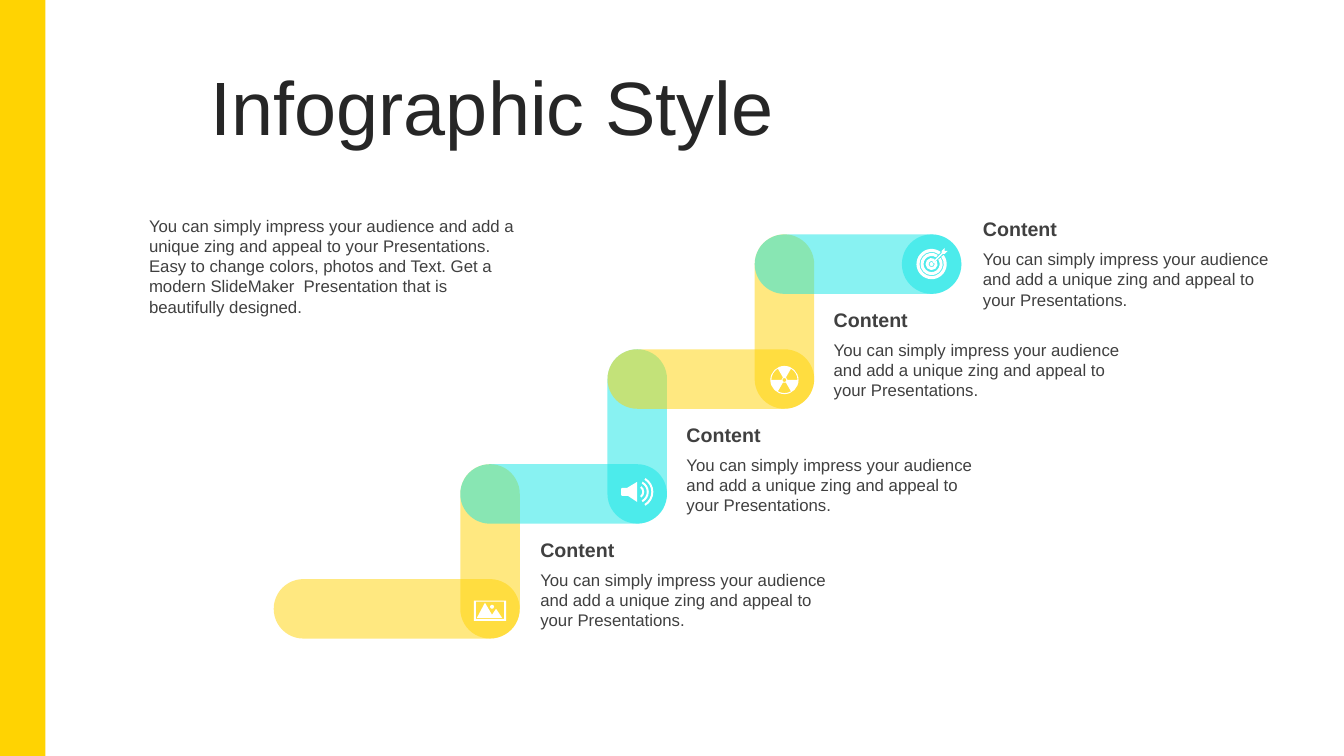
"""Builds the staircase infographic slide."""
from math import ceil, cos, radians, sin, tan

from lxml import etree
from pptx import Presentation
from pptx.dml.color import RGBColor
from pptx.enum.shapes import MSO_SHAPE
from pptx.enum.text import MSO_ANCHOR, MSO_AUTO_SIZE, PP_ALIGN
from pptx.oxml.ns import qn
from pptx.util import Inches, Pt

RECT, PILL, OVAL = MSO_SHAPE.RECTANGLE, MSO_SHAPE.ROUNDED_RECTANGLE, MSO_SHAPE.OVAL
TOP, MIDDLE = MSO_ANCHOR.TOP, MSO_ANCHOR.MIDDLE
FIT, FIXED = MSO_AUTO_SIZE.SHAPE_TO_FIT_TEXT, MSO_AUTO_SIZE.NONE
LEFT = PP_ALIGN.LEFT
COLORS = {"yellow": "FFD302", "cyan": "12E6E6", "white": "FFFFFF",
          "title": "262626", "text": "404040"}
FONT = "Arial"
THICK = 0.59
RUN, RISE = 1.46, 1.14
CONTENT = ("You can simply impress your audience and add a unique zing "
           "and appeal to your Presentations.")
INTRO = (CONTENT + " Easy to change colors, photos and Text. Get a modern "
         "SlideMaker  Presentation that is beautifully designed.")


def paint(sp, color, opacity=100):
    """Give a shape a plain fill without line or shadow."""
    sp.shadow.inherit = False
    sp.line.fill.background()
    sp.fill.solid()
    sp.fill.fore_color.rgb = RGBColor.from_string(COLORS[color])
    if opacity < 100:
        clr = sp._element.spPr.find(qn("a:solidFill"))[0]
        etree.SubElement(clr, qn("a:alpha")).set("val", str(opacity * 1000))


def add_block(slide, kind, box, color, opacity=100):
    """Add a filled preset shape; pills get fully round ends."""
    sp = slide.shapes.add_shape(kind, *map(Inches, box))
    if kind == PILL:
        sp.adjustments[0] = 0.5
    paint(sp, color, opacity)


def write(sp, text, size, color, anchor=TOP, bold=False, fit=FIT):
    """Set and format the single paragraph of a shape."""
    tf = sp.text_frame
    tf.text = text
    tf.word_wrap = True
    tf.auto_size = fit
    tf.vertical_anchor = anchor
    p = tf.paragraphs[0]
    p.alignment = LEFT
    font = p.runs[0].font
    font.name, font.size, font.bold = FONT, Pt(size), bold
    font.color.rgb = RGBColor.from_string(COLORS[color])


def add_text(slide, box, text, size, anchor=TOP, bold=False):
    """Add a wrapped text box."""
    sp = slide.shapes.add_textbox(*map(Inches, box))
    write(sp, text, size, "text", anchor, bold)


def arc(radius, start=0, end=360, x=0, y=0):
    """Return an arc as a first point and flagged Bézier triplets."""
    n = ceil(abs(end - start) / 90)
    step = radians(end - start) / n
    k = 4 / 3 * tan(step / 4)
    points = [(x + radius * cos(radians(start)), y + radius * sin(radians(start)))]
    for i in range(n):
        a = radians(start) + i * step
        b = a + step
        for px, py in ((cos(a) - k * sin(a), sin(a) + k * cos(a)),
                       (cos(b) + k * sin(b), sin(b) - k * cos(b)),
                       (cos(b), sin(b))):
            points.append((x + radius * px, y + radius * py, True))
    return points


def band(outer, inner, start, end):
    """Return the outline of a ring segment."""
    return arc(outer, start, end) + arc(inner, end, start)


def rect(left, top, right, bottom):
    """Return the corners of a rectangle."""
    return [(left, top), (right, top), (right, bottom), (left, bottom)]


def photo_icon():
    """Return the contours of a framed landscape."""
    hills = [(-0.05, -0.08), (0.02, 0.04), (0.06, -0.02), (0.12, 0.07), (-0.13, 0.07)]
    return [rect(-0.16, -0.1, 0.16, 0.1), rect(-0.14, -0.09, 0.14, 0.08),
            hills, arc(0.02, x=0.02, y=-0.04)]


def speaker_icon():
    """Return the contours of a speaker with three waves."""
    horn = [(0, -0.1), (0, 0.1), (-0.09, 0.04), (-0.15, 0.04),
            (-0.16, 0.03), (-0.16, -0.03), (-0.15, -0.04), (-0.1, -0.04)]
    waves = [(0.07, 0.05, 54), (0.115, 0.095, 62), (0.16, 0.14, 59)]
    return [horn] + [band(o, i, -a, a) for o, i, a in waves]


def trefoil_icon():
    """Return the contours of a disc with three cut-out sectors."""
    sectors = [band(0.13, 0.03, a, a + 60) for a in (60, 180, 300)]
    return [arc(0.14), arc(0.02)] + sectors


def target_icon():
    """Return the contours of a target hit by an arrow."""
    rings = [(0.15, 0.12, 8), (0.11, 0.08, 11), (0.06, 0.03, 14)]
    arrow = [(0.02, -0.01), (0.11, -0.1), (0.13, -0.1), (0.16, -0.13),
             (0.13, -0.13), (0.13, -0.16), (0.1, -0.13), (0.1, -0.11), (0.01, -0.02)]
    return [band(o, i, gap - 45, 315 - gap) for o, i, gap in rings] + [arc(0.02), arrow]


def bend(sp, flags):
    """Join flagged line points into cubic curves."""
    lines = list(sp._element.iter(qn("a:lnTo")))
    curve = None
    for line, curved in zip(lines, flags):
        if not curved:
            continue
        if curve is None or len(curve) == 3:
            curve = etree.Element(qn("a:cubicBezTo"))
            line.addprevious(curve)
        curve.append(line[0])
        line.getparent().remove(line)


def add_icon(slide, x, y, contours):
    """Draw contours around a centre as one white freeform."""
    outlines = [[(Inches(x + pt[0]), Inches(y + pt[1])) for pt in c] for c in contours]
    fb = slide.shapes.build_freeform(*outlines[0][0])
    for i, points in enumerate(outlines):
        if i:
            fb.move_to(*points[0])
        fb.add_line_segments(points[1:], close=True)
    sp = fb.convert_to_shape()
    bend(sp, [len(pt) == 3 for c in contours for pt in c[1:]])
    paint(sp, "white")


def add_header(slide, box):
    """Place the title and the side bar."""
    add_block(slide, RECT, (0, 0, 0.45, 7.5), "yellow")
    title = slide.shapes.title
    title.left, title.top, title.width, title.height = map(Inches, box)
    write(title, "Infographic Style", 54, "title", MIDDLE, fit=FIXED)
    title.text_frame.paragraphs[0].line_spacing = 0.9


def add_caption(slide, x, y):
    """Place a heading with its description below."""
    add_text(slide, (x, y, 3.11, 0.34), "Content", 14, MIDDLE, True)
    add_text(slide, (x, y + 0.32, 3.11, 0.71), CONTENT, 12)


def add_stairs(slide, x, y):
    """Draw the stairs upward from the centre of the first joint."""
    steps = [(photo_icon(), 0.02, 0.4, -0.76), (speaker_icon(), -0.02, 0.39, -0.76),
             (trefoil_icon(), 0.01, 0.39, -0.76), (target_icon(), 0, 0.41, -0.52)]
    half = THICK / 2
    last = len(steps) - 1
    centres = [(x + RUN * i, y - RISE * i) for i in range(len(steps))]
    for i, (cx, cy) in enumerate(centres):
        color = "cyan" if i % 2 else "yellow"
        width = RUN + THICK if i else 2.44
        add_block(slide, PILL, (cx + half - width, cy - half, width, THICK), color, 50)
        rise = RISE if i < last else 0
        kind = PILL if i < last else OVAL
        add_block(slide, kind, (cx - half, cy - half - rise, THICK, THICK + rise), color, 50)
    for (cx, cy), (icon, drop, dx, dy) in zip(centres, steps):
        add_caption(slide, cx + dx, cy + dy)
        add_icon(slide, cx, cy + drop, icon)


def main():
    """Build and save the slide."""
    prs = Presentation()
    prs.slide_width, prs.slide_height = Inches(13.33), Inches(7.5)
    slide = prs.slides.add_slide(prs.slide_layouts[5])
    add_header(slide, (1.99, 0.71, 10.93, 0.79))
    add_stairs(slide, 4.86, 6.04)
    add_text(slide, (1.38, 2.09, 3.93, 1.11), INTRO, 12)
    prs.save("out.pptx")


if __name__ == "__main__":
    main()
